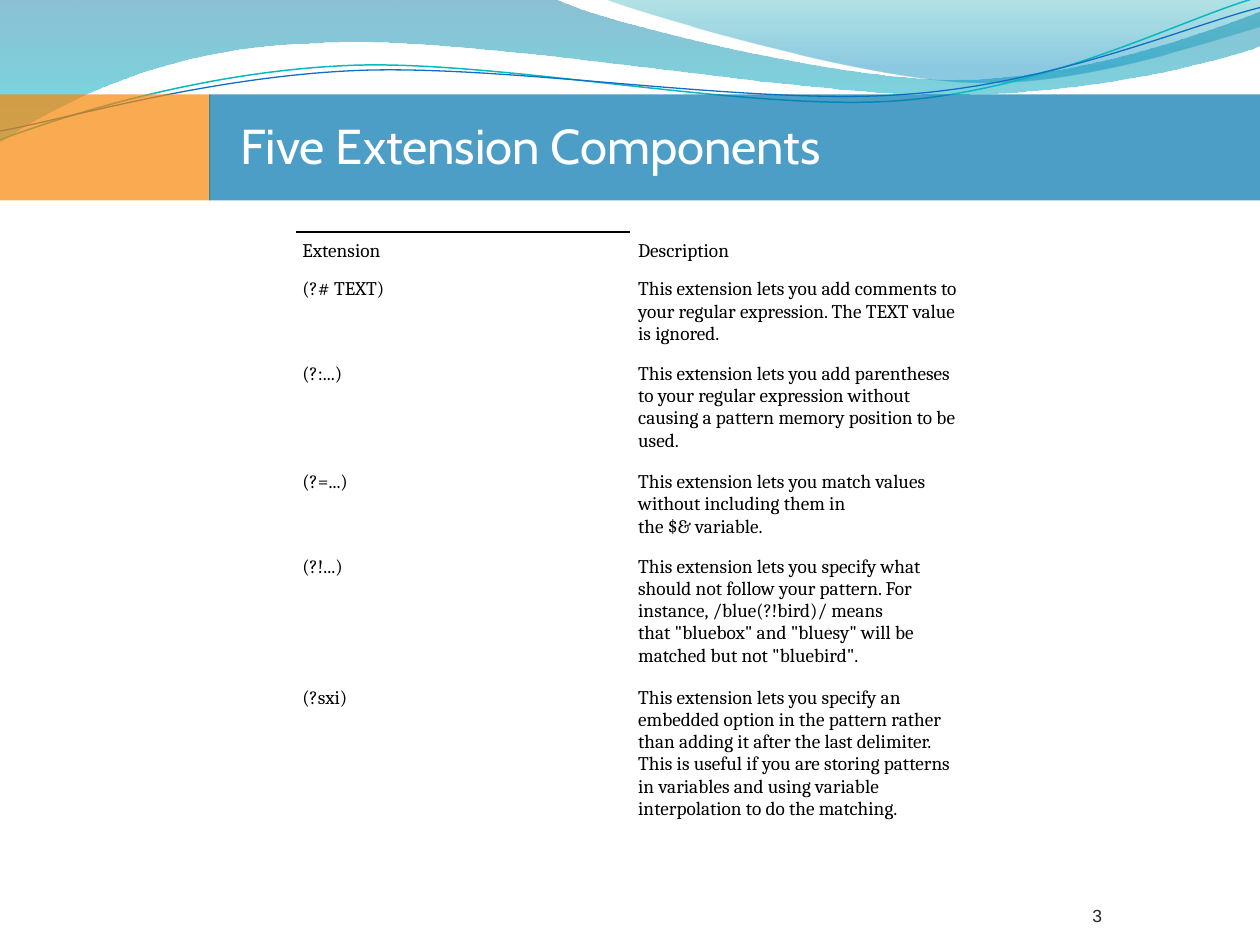
from dataclasses import dataclass

from lxml.etree import SubElement
from pptx import Presentation
from pptx.dml.color import RGBColor
from pptx.enum.shapes import MSO_SHAPE as Preset
from pptx.enum.text import MSO_ANCHOR as Anchor, PP_ALIGN as Align
from pptx.oxml import parse_xml
from pptx.oxml.ns import nsdecls, qn
from pptx.util import Emu, Inches, Pt

# The slide is a grid of 10 columns by 7.5 rows, one inch each
COLUMNS, ROWS = 10, 7.5
CELL_MARGIN = 0.06
# A tilde in the table texts stands for a no-break space
NO_BREAK_SPACE = chr(160)


@dataclass
class Box:
    left: float
    top: float
    width: float
    height: float

    def lengths(self) -> list[Emu]:
        return [Inches(value) for value in (self.left, self.top, self.width, self.height)]


@dataclass
class TextStyle:
    font: str
    size: float
    color: str


@dataclass
class Stop:
    position: int
    color: str
    opacity: int


@dataclass
class Wave:
    """A start point, then segments: 2 numbers for a line, 6 for a cubic curve."""
    start: tuple
    segments: list
    stops: tuple = ()
    line_color: str = ""
    line_width: float = 0


@dataclass
class Band:
    box: Box
    color: str
    opacity: int


@dataclass
class Extension:
    pattern: str
    description: str
    height: float


TITLE_STYLE = TextStyle("Cabin", 28, "FFFFFF")
NUMBER_STYLE = TextStyle("Arial", 10, "262626")
TABLE_STYLE = TextStyle("Cambria", 11, "000000")

WAVES = [
    Wave((0, 0), [(4.4, -0.01), (4.76, 0.17, 6.64, 0.63, 7.58, 0.63),
                  (8.53, 0.63, 9.58, 0.26, 10, 0.09), (10.01, 0.36),
                  (9.83, 0.44, 8.7, 0.76, 7.46, 0.75), (6.22, 0.75, 3.82, 0.28, 2.57, 0.34),
                  (1.29, 0.36, 0.46, 0.83, -0.01, 1.13)],
         stops=(Stop(0, "0074A1", 45), Stop(100, "00C6CF", 55))),
    Wave((4.79, -0.01), [(5.09, 0.11, 6.82, 0.62, 7.69, 0.65),
                         (8.56, 0.69, 9.61, 0.32, 10, 0.21), (10, 0)],
         stops=(Stop(0, "00A1A9", 30), Stop(80, "008BBF", 45))),
    Wave((0, 1.11), [(0.48, 0.93, 1.58, 0.57, 2.77, 0.52), (3.95, 0.47, 5.93, 0.89, 7.13, 0.8),
                     (8.33, 0.71, 9.38, 0.15, 9.98, -0.02)],
         line_color="0AB8BF", line_width=0.85),
    Wave((0, 1.04), [(0.47, 0.96, 1.64, 0.61, 2.83, 0.56), (4.03, 0.51, 5.97, 0.84, 7.17, 0.75),
                     (8.36, 0.67, 9.41, 0.21, 10, 0.06)],
         line_color="0F6FC6", line_width=0.75),
]

BANDS = [
    Band(Box(0, 0.75, 1.67, 0.84), "F88608", 70),
    Band(Box(1.66, 0.75, 8.34, 0.84), "0075B0", 70),
]

EXTENSIONS = [
    Extension("Extension", "Description", 0.31),
    Extension("(?# TEXT)", "This extension lets you add comments to your regular expression. "
              "The TEXT value is ignored.", 0.67),
    Extension("(?:...)", "This extension lets you add parentheses to your regular expression "
              "without causing a pattern memory position to be used.", 0.86),
    Extension("(?=...)", "This extension lets you match values without including them in "
              "the~$&~variable.", 0.67),
    Extension("(?!...)", "This extension lets you specify what should not follow your pattern. "
              "For instance,~/blue(?!bird)/~means that~\"bluebox\"~and~\"bluesy\"~will be "
              "matched but not~\"bluebird\".", 1.04),
    Extension("(?sxi)", "This extension lets you specify an embedded option in the pattern "
              "rather than adding it after the last delimiter. This is useful if you are storing "
              "patterns in variables and using variable interpolation to do the matching.", 1.22),
]


def rgb(color: str) -> RGBColor:
    return RGBColor.from_string(color)


def add_run(text_frame, text: str, style: TextStyle) -> None:
    paragraph = text_frame.paragraphs[0]
    paragraph.alignment = Align.LEFT
    run = paragraph.add_run()
    run.text = text
    run.font.name = style.font
    run.font.size = Pt(style.size)
    run.font.color.rgb = rgb(style.color)


def set_margins(target, margin: float) -> None:
    target.margin_left = target.margin_right = Inches(margin)
    target.margin_top = target.margin_bottom = Inches(margin)


def bend_segments(shape, segments: list) -> None:
    """Turn the straight steps of a freeform into its cubic curves."""
    lines = list(shape._element.iter(qn("a:lnTo")))
    for line, segment in zip(lines, segments):
        if len(segment) == 2:
            continue
        line.tag = qn("a:cubicBezTo")
        line.remove(line[0])
        for x, y in zip(segment[::2], segment[1::2]):
            point = SubElement(line, qn("a:pt"))
            point.set("x", str(Inches(x) - shape.left))
            point.set("y", str(Inches(y) - shape.top))


def add_wave(slide, wave: Wave) -> None:
    corners = [(Inches(x), Inches(y)) for x, y in
               [wave.start] + [segment[-2:] for segment in wave.segments]]
    builder = slide.shapes.build_freeform(*corners[0])
    builder.add_line_segments(corners[1:], close=bool(wave.stops))
    shape = builder.convert_to_shape()
    bend_segments(shape, wave.segments)
    shape.shadow.inherit = False
    shape.fill.background()
    if not wave.stops:
        shape.line.color.rgb = rgb(wave.line_color)
        shape.line.width = Pt(wave.line_width)
        return
    shape.line.fill.background()
    stops = "".join(
        f'<a:gs pos="{stop.position * 1000}"><a:srgbClr val="{stop.color}">'
        f'<a:alpha val="{stop.opacity * 1000}"/></a:srgbClr></a:gs>' for stop in wave.stops)
    gradient = parse_xml(f'<a:gradFill {nsdecls("a")}><a:gsLst>{stops}</a:gsLst>'
                         '<a:lin ang="5400000" scaled="0"/></a:gradFill>')
    properties = shape._element.spPr
    properties.replace(properties.find(qn("a:noFill")), gradient)


def add_band(slide, band: Band) -> None:
    shape = slide.shapes.add_shape(Preset.RECTANGLE, *band.box.lengths())
    shape.shadow.inherit = False
    shape.line.fill.background()
    shape.fill.solid()
    shape.fill.fore_color.rgb = rgb(band.color)
    color = shape._element.spPr.find(qn("a:solidFill"))[0]
    SubElement(color, qn("a:alpha")).set("val", str(band.opacity * 1000))


def set_title(slide, text: str, box: Box) -> None:
    title = slide.shapes.title
    title.left, title.top, title.width, title.height = box.lengths()
    title.text_frame.vertical_anchor = Anchor.TOP
    add_run(title.text_frame, text, TITLE_STYLE)
    # Bring the title in front of the bands
    slide.shapes._spTree.append(title._element)


def add_page_number(slide, text: str, box: Box) -> None:
    text_frame = slide.shapes.add_textbox(*box.lengths()).text_frame
    text_frame.word_wrap = True
    text_frame.vertical_anchor = Anchor.BOTTOM
    set_margins(text_frame, 0)
    add_run(text_frame, text, NUMBER_STYLE)


def add_extension_table(slide, extensions: list[Extension], box: Box) -> None:
    table = slide.shapes.add_table(len(extensions), 2, *box.lengths()).table
    table.first_row = table.horz_banding = False
    for index, extension in enumerate(extensions):
        table.rows[index].height = Inches(extension.height)
        for column, text in enumerate((extension.pattern, extension.description)):
            cell = table.cell(index, column)
            cell.fill.background()
            cell.vertical_anchor = Anchor.TOP if index else Anchor.MIDDLE
            set_margins(cell, CELL_MARGIN)
            add_run(cell.text_frame, text.replace("~", NO_BREAK_SPACE), TABLE_STYLE)
    # Rule above the first heading
    rule = parse_xml(f'<a:lnT {nsdecls("a")} w="{Pt(1.5)}"><a:solidFill>'
                     '<a:srgbClr val="000000"/></a:solidFill></a:lnT>')
    table.cell(0, 0)._tc.get_or_add_tcPr().insert(0, rule)


def main() -> None:
    presentation = Presentation()
    presentation.slide_width, presentation.slide_height = Inches(COLUMNS), Inches(ROWS)
    slide = presentation.slides.add_slide(presentation.slide_layouts[5])
    # Header decoration
    for wave in WAVES:
        add_wave(slide, wave)
    for band in BANDS:
        add_band(slide, band)
    # Content
    set_title(slide, "Five Extension Components", Box(1.81, 0.87, 7.94, 0.62))
    add_page_number(slide, "3", Box(8.67, 6.95, 0.83, 0.4))
    add_extension_table(slide, EXTENSIONS, Box(2.34, 1.84, 5.33, 4.77))
    presentation.save("out.pptx")


if __name__ == "__main__":
    main()
